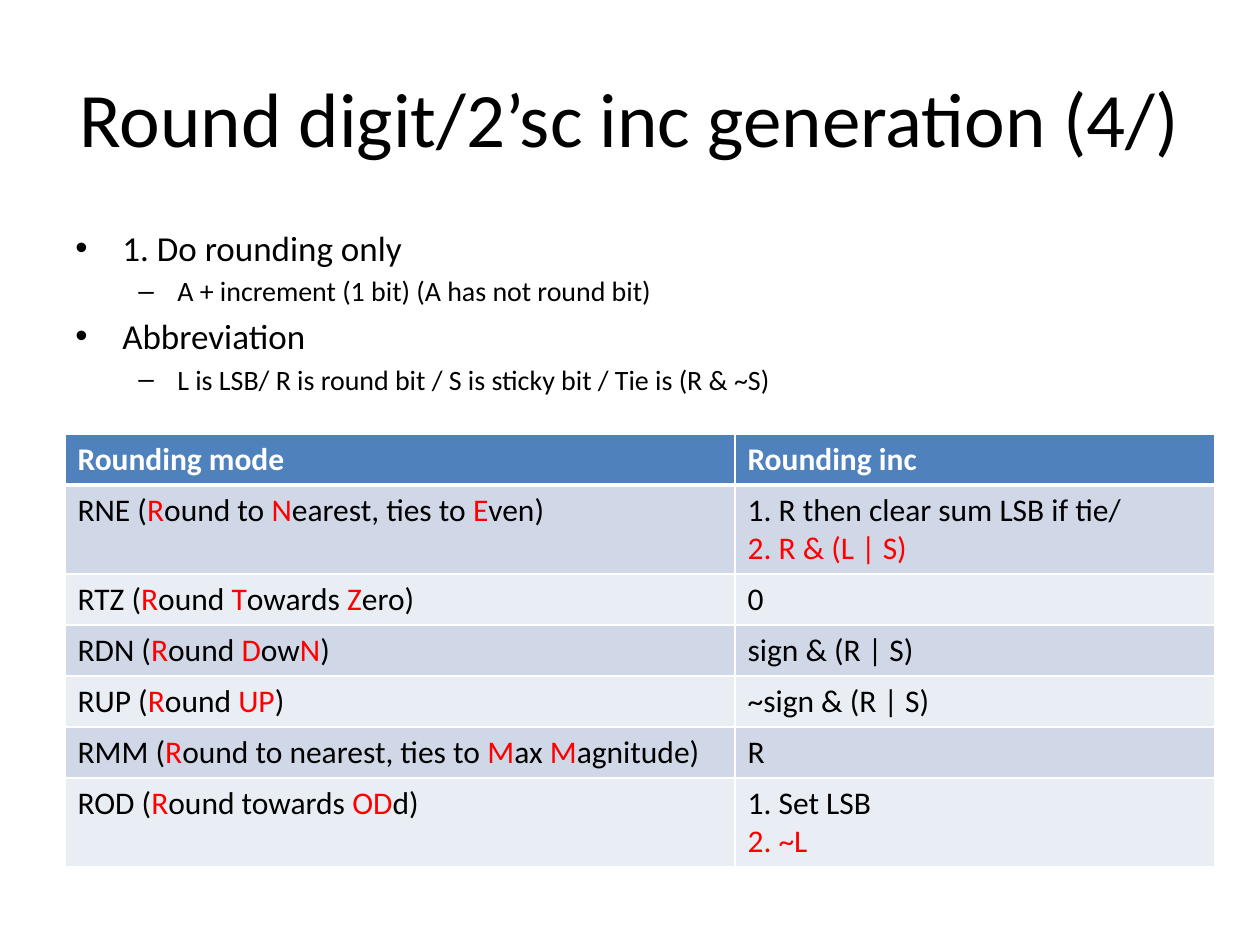
from dataclasses import dataclass

import pptx
import pptx.dml.color
import pptx.enum.text
import pptx.oxml
import pptx.oxml.ns
import pptx.util
from lxml import etree

EMU_PER_PX = 914400 / 126


def px(n):
    return pptx.util.Emu(round(n * EMU_PER_PX))


def rgb(code):
    return pptx.dml.color.RGBColor.from_string(code)


@dataclass(frozen=True)
class Theme:
    font: str = "Calibri"
    text: str = "000000"
    accent: str = "FF0000"
    white: str = "FFFFFF"
    header: str = "4F81BD"
    bands: tuple = ("D0D8E8", "E9EDF4")
    title_size: int = 44
    body_sizes: tuple = (20, 16)
    table_size: int = 18


# Per outline level: bullet character, left margin and hanging indent in px
BULLETS = (("•", 47, 47), ("–", 102, 39))

OUTLINE = [
    (0, "1. Do rounding only"),
    (1, "A + increment (1 bit) (A has not round bit)"),
    (0, "Abbreviation"),
    (1, "L is LSB/ R is round bit / S is sticky bit / Tie is (R & ~S)"),
]

# Text between asterisks takes the accent colour; a line break starts a paragraph.
ROUNDING_MODES = [
    ("Rounding mode", "Rounding inc"),
    ("RNE (*R*ound to *N*earest, ties to *E*ven)",
     "1. R then clear sum LSB if tie/\n*2. R & (L | S)*"),
    ("RTZ (*R*ound *T*owards *Z*ero)", "0"),
    ("RDN (*R*ound *D*ow*N*)", "sign & (R | S)"),
    ("RUP (*R*ound *UP*)", "~sign & (R | S)"),
    ("RMM (*R*ound to nearest, ties to *M*ax *M*agnitude)", "R"),
    ("ROD (*R*ound towards *OD*d)", "1. Set LSB\n*2. ~L*"),
]


class SlideBuilder:
    def __init__(self, slide, theme):
        self.slide = slide
        self.theme = theme

    def add_run(self, p, text, size, color, bold=False):
        r = p.add_run()
        r.text = text
        r.font.name = self.theme.font
        r.font.size = pptx.util.Pt(size)
        r.font.bold = bold
        r.font.color.rgb = rgb(color)

    def text_frame(self, x, y, w, h):
        tf = self.slide.shapes.add_textbox(px(x), px(y), px(w), px(h)).text_frame
        tf.word_wrap = True
        return tf

    def title(self, text, x, y, w, h):
        tf = self.text_frame(x, y, w, h)
        tf.vertical_anchor = pptx.enum.text.MSO_ANCHOR.MIDDLE
        p = tf.paragraphs[0]
        p.alignment = pptx.enum.text.PP_ALIGN.CENTER
        self.add_run(p, text, self.theme.title_size, self.theme.text)

    def bullets(self, items, x, y, w, h):
        tf = self.text_frame(x, y, w, h)
        for i, (level, text) in enumerate(items):
            p = tf.paragraphs[0] if i == 0 else tf.add_paragraph()
            size = self.theme.body_sizes[level]
            char, margin, hang = BULLETS[level]
            p.level = level
            pPr = p._p.get_or_add_pPr()
            pPr.set("marL", str(px(margin)))
            pPr.set("indent", str(-px(hang)))
            for tag, key, value in (("buFont", "typeface", "Arial"),
                                    ("buChar", "char", char)):
                etree.SubElement(pPr, pptx.oxml.ns.qn("a:" + tag)).set(key, value)
            if i:
                p.space_before = pptx.util.Pt(size * 0.2)
            self.add_run(p, text, size, self.theme.text)

    def borders(self, cell, bottom):
        """Draw 1 pt borders, with the bottom one at its own width."""
        tcPr = cell._tc.get_or_add_tcPr()
        for side, width in (("L", 1), ("R", 1), ("T", 1), ("B", bottom)):
            tcPr.append(pptx.oxml.parse_xml(
                f'<a:ln{side} {pptx.oxml.ns.nsdecls("a")} w="{pptx.util.Pt(width)}">'
                f'<a:solidFill><a:srgbClr val="{self.theme.white}"/></a:solidFill>'
                f'</a:ln{side}>'))

    def cell(self, cell, text, header, fill):
        self.borders(cell, 3 if header else 1)
        cell.fill.solid()
        cell.fill.fore_color.rgb = rgb(fill)
        base = self.theme.white if header else self.theme.text
        tf = cell.text_frame
        for i, line in enumerate(text.split("\n")):
            p = tf.paragraphs[0] if i == 0 else tf.add_paragraph()
            for j, part in enumerate(line.split("*")):
                if part:
                    color = self.theme.accent if j % 2 else base
                    self.add_run(p, part, self.theme.table_size, color, header)

    def table(self, rows, x, y, col_widths, line_height, extra_line):
        heights = [line_height + extra_line * max(t.count("\n") for t in row)
                   for row in rows]
        table = self.slide.shapes.add_table(
            len(rows), len(col_widths), px(x), px(y),
            px(sum(col_widths)), px(sum(heights))).table
        for col, width in zip(table.columns, col_widths):
            col.width = px(width)
        for i, (row, height) in enumerate(zip(rows, heights)):
            table.rows[i].height = px(height)
            fill = self.theme.bands[(i - 1) % 2] if i else self.theme.header
            for j, text in enumerate(row):
                self.cell(table.cell(i, j), text, i == 0, fill)


def main():
    prs = pptx.Presentation()
    prs.slide_width, prs.slide_height = px(1260), px(945)
    s = SlideBuilder(prs.slides.add_slide(prs.slide_layouts[6]), Theme())
    s.title("Round digit/2’sc inc generation (4/)", 63, 38, 1134, 157)
    s.bullets(OUTLINE, 63, 220, 1134, 624)
    s.table(ROUNDING_MODES, 65, 434, (670, 480), line_height=51, extra_line=38)
    prs.save("out.pptx")


if __name__ == "__main__":
    main()
